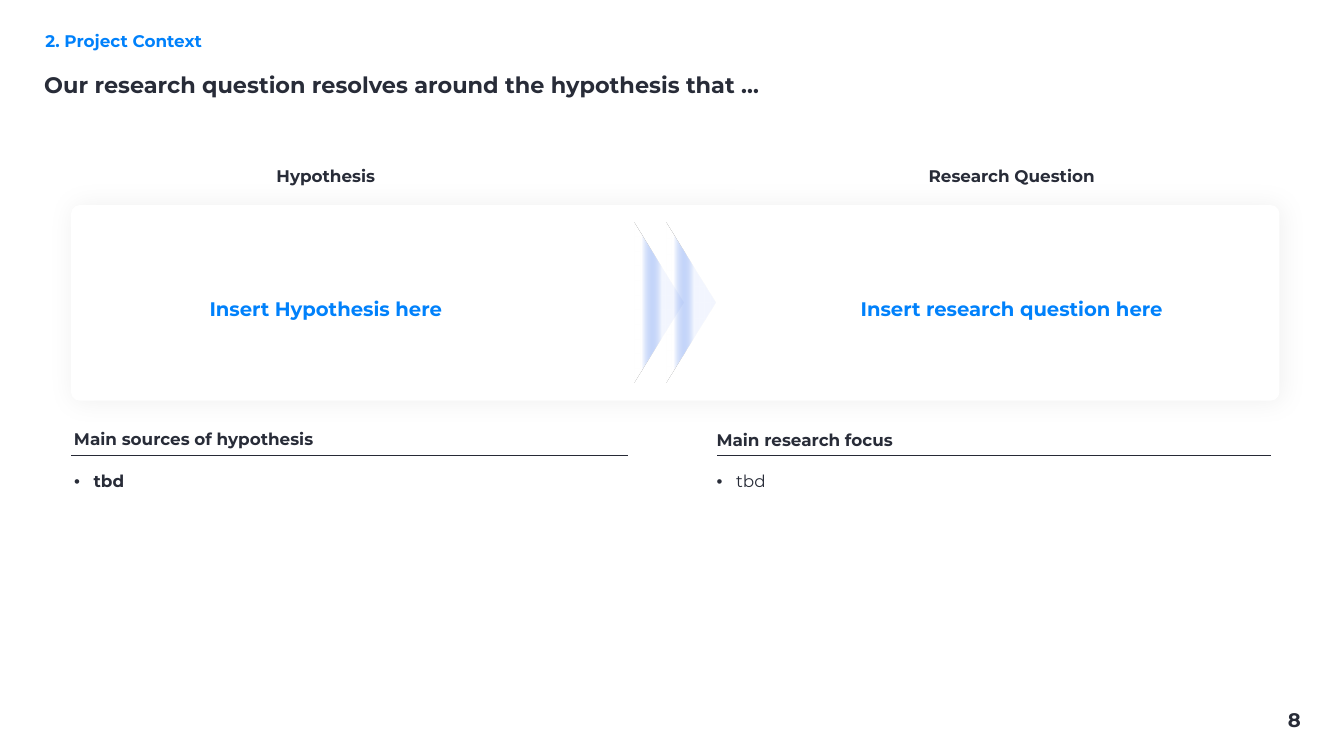
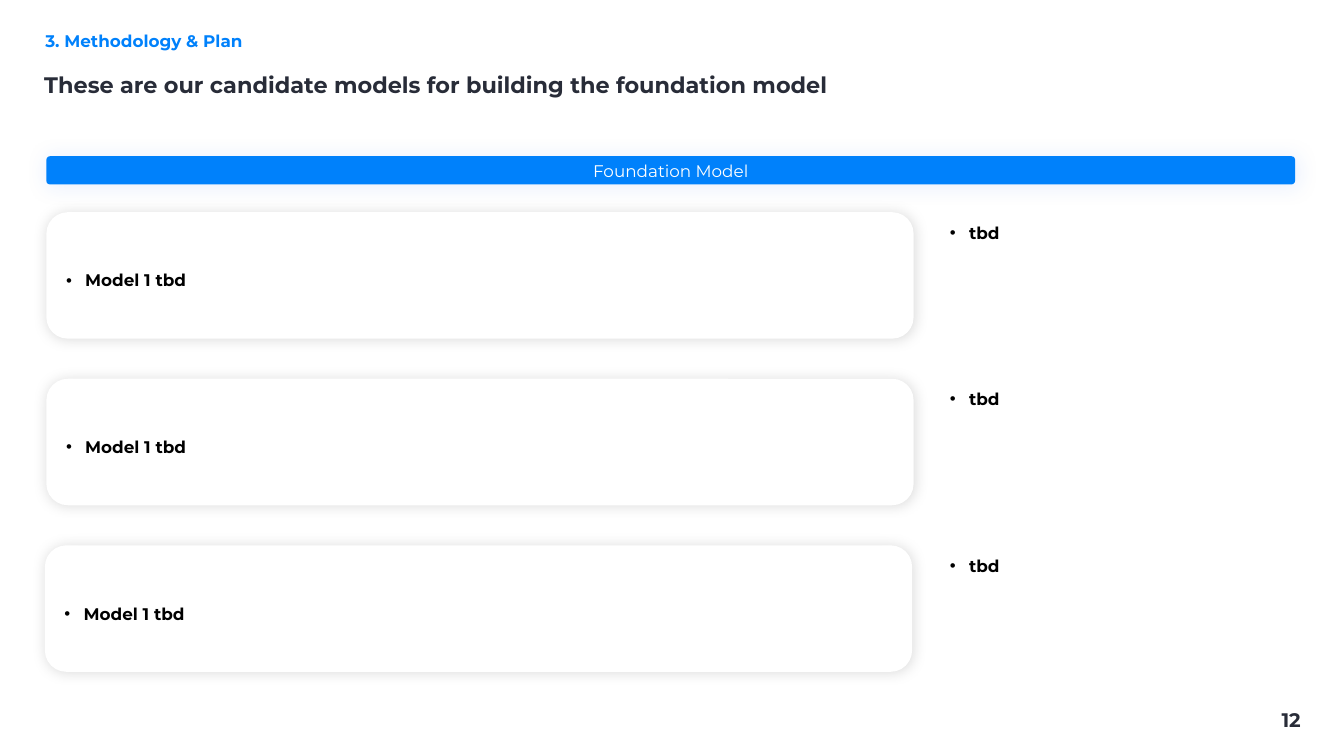
from lxml import etree
from pptx import Presentation
from pptx.dml.color import RGBColor
from pptx.enum.shapes import MSO_CONNECTOR, MSO_SHAPE as SHAPE
from pptx.enum.text import MSO_ANCHOR as ANCHOR, MSO_AUTO_SIZE as FIT, PP_ALIGN as ALIGN
from pptx.oxml import parse_xml
from pptx.oxml.ns import nsdecls, qn
from pptx.util import Inches, Pt

INK = RGBColor(0x28, 0x2C, 0x38)
RULE = RGBColor(0x27, 0x2A, 0x36)
BLUE = RGBColor(0x00, 0x81, 0xFB)
GLOW = RGBColor(0x24, 0x63, 0xEC)
BLACK = RGBColor(0, 0, 0)
WHITE = RGBColor(0xFF, 0xFF, 0xFF)
FONT = "Montserrat"


def place(box):
    return [Inches(v) for v in box]


def write(tf, text, size=24, color=INK, bold=True, align=ALIGN.LEFT,
          anchor=ANCHOR.TOP, spacing=None, indent=0, bullet=False):
    tf.word_wrap = True
    tf.vertical_anchor = anchor
    p = tf.paragraphs[0]
    p.alignment = align
    if spacing:
        p.line_spacing = spacing
    if indent:
        ppr = p._p.get_or_add_pPr()
        ppr.set("marL", str(Inches(indent)))
        ppr.set("indent", str(-Inches(indent) if bullet else 0))
        if bullet:
            etree.SubElement(ppr, qn("a:buFont")).set("typeface", "Arial")
            etree.SubElement(ppr, qn("a:buChar")).set("char", "•")
    r = p.add_run()
    r.text = text
    for name, value in {"name": FONT, "size": Pt(size), "bold": bold}.items():
        setattr(r.font, name, value)
    r.font.color.rgb = color


def add_text(s, box, text, inset=True, grow=False, **fmt):
    tf = s.shapes.add_textbox(*place(box)).text_frame
    if not inset:
        for side in ("left", "right", "top", "bottom"):
            setattr(tf, f"margin_{side}", 0)
    write(tf, text, **fmt)
    tf.auto_size = FIT.SHAPE_TO_FIT_TEXT if grow else FIT.NONE


def add_bullet(s, box, text, inset=False, indent=0.38, color=BLACK, bold=True):
    add_text(s, box, text, inset=inset, grow=True, color=color, bold=bold,
             spacing=1.5, indent=indent, bullet=True)


def add_panel(s, box, fill, shadow, radius):
    color, alpha, blur, dist = shadow
    sp = s.shapes.add_shape(SHAPE.ROUNDED_RECTANGLE, *place(box))
    sp.adjustments[0] = radius
    sp.fill.solid()
    sp.fill.fore_color.rgb = fill
    sp.line.fill.background()
    sp._element.spPr.append(parse_xml(
        f'<a:effectLst {nsdecls("a")}><a:outerShdw blurRad="{Pt(blur)}" dist="{Pt(dist)}" '
        f'dir="0" algn="ctr" rotWithShape="0"><a:srgbClr val="{color}">'
        f'<a:alpha val="{alpha * 1000}"/></a:srgbClr></a:outerShdw></a:effectLst>'))
    return sp


def add_rule(s, x, y, width):
    line = s.shapes.add_connector(
        MSO_CONNECTOR.STRAIGHT, *place((x, y, x + width, y)))
    line.line.color.rgb = RULE
    line.line.width = Pt(1.5)
    etree.SubElement(line._element.spPr, qn("a:effectLst"))


def add_chevron(s, box):
    sp = s.shapes.add_shape(SHAPE.TRAPEZOID, *place(box))
    sp.adjustments[0] = 3.87
    sp.rotation = 90
    sp.shadow.inherit = False
    sp.line.fill.background()
    sp._element.spPr.find(qn("a:prstGeom")).addnext(parse_xml(
        f'<a:gradFill rotWithShape="1" {nsdecls("a")}><a:gsLst>'
        f'<a:gs pos="44000"><a:srgbClr val="{GLOW}"><a:alpha val="5000"/></a:srgbClr></a:gs>'
        f'<a:gs pos="85000"><a:srgbClr val="{WHITE}"/></a:gs>'
        f'</a:gsLst><a:lin ang="5400000" scaled="0"/></a:gradFill>'))


def add_frame(prs, section, title, number):
    s = prs.slides.add_slide(prs.slide_layouts[6])
    s.background.fill.solid()
    s.background.fill.fore_color.rgb = WHITE
    add_text(s, (23.94, 13.99, 1.97, 0.57), str(number), size=28, align=ALIGN.RIGHT)
    add_text(s, (0.74, 0.49, 25.07, 0.57), section, color=BLUE,
             anchor=ANCHOR.MIDDLE, spacing=1.2, indent=0.06)
    add_text(s, (0.78, 1.2, 25.07, 0.96), title, size=32, anchor=ANCHOR.MIDDLE)
    return s


def add_statement(s, x, y, heading, prompt):
    add_text(s, (x, y, 7.13, 0.96), heading, align=ALIGN.CENTER, anchor=ANCHOR.MIDDLE)
    add_text(s, (x + 0.2, y + 2.64, 6.73, 0.71), prompt, inset=False, grow=True,
             size=28, color=BLUE, align=ALIGN.CENTER, spacing=1.5)


def add_notes_column(s, x, y, heading, item, rule_x, rule_width, bold):
    add_text(s, (x, y, 11.13, 0.96), heading, anchor=ANCHOR.MIDDLE)
    add_rule(s, rule_x, 9.04, rule_width)
    add_bullet(s, (x, 9.1, 11.58, 0.64), item, inset=True, indent=0.39,
               color=INK, bold=bold)


def context_slide(prs):
    s = add_frame(prs, "2. Project Context",
                  "Our research question resolves around the hypothesis that …", 8)
    add_panel(s, (1.41, 4.07, 23.98, 3.88), WHITE, (BLACK, 5, 35, 3), 0.044)
    add_statement(s, 2.9, 3.01, "Hypothesis", "Insert Hypothesis here")
    add_statement(s, 16.51, 3.01, "Research Question", "Insert research question here")
    add_notes_column(s, 1.37, 8.23, "Main sources of hypothesis", "tbd", 1.41, 11.05, True)
    add_notes_column(s, 14.12, 8.24, "Main research focus", "tbd", 14.23, 11, False)
    for x in (12.13, 11.49):
        add_chevron(s, (x, 5.52, 3.17, 0.97))


def add_model_row(s, x, y):
    add_panel(s, (x, y, 17.21, 2.51), WHITE, (BLACK, 14, 21, 0), 0.17)
    add_bullet(s, (x + 0.39, y + 0.95, 6.99, 0.61), "Model 1 tbd")
    add_bullet(s, (18.85, y, 6.99, 0.61), "tbd")


def models_slide(prs):
    s = add_frame(prs, "3. Methodology & Plan",
                  "These are our candidate models for building the foundation model", 12)
    band = add_panel(s, (0.92, 3.1, 24.78, 0.56), BLUE, (GLOW, 9, 30, 0), 0.13)
    write(band.text_frame, "Foundation Model", color=WHITE, bold=False,
          align=ALIGN.CENTER, anchor=ANCHOR.MIDDLE)
    for i, x in enumerate((0.92, 0.92, 0.89)):
        add_model_row(s, x, 4.21 + 3.305 * i)


def main():
    prs = Presentation()
    prs.slide_width, prs.slide_height = Inches(26.67), Inches(15)
    context_slide(prs)
    models_slide(prs)
    prs.save("out.pptx")


if __name__ == "__main__":
    main()
